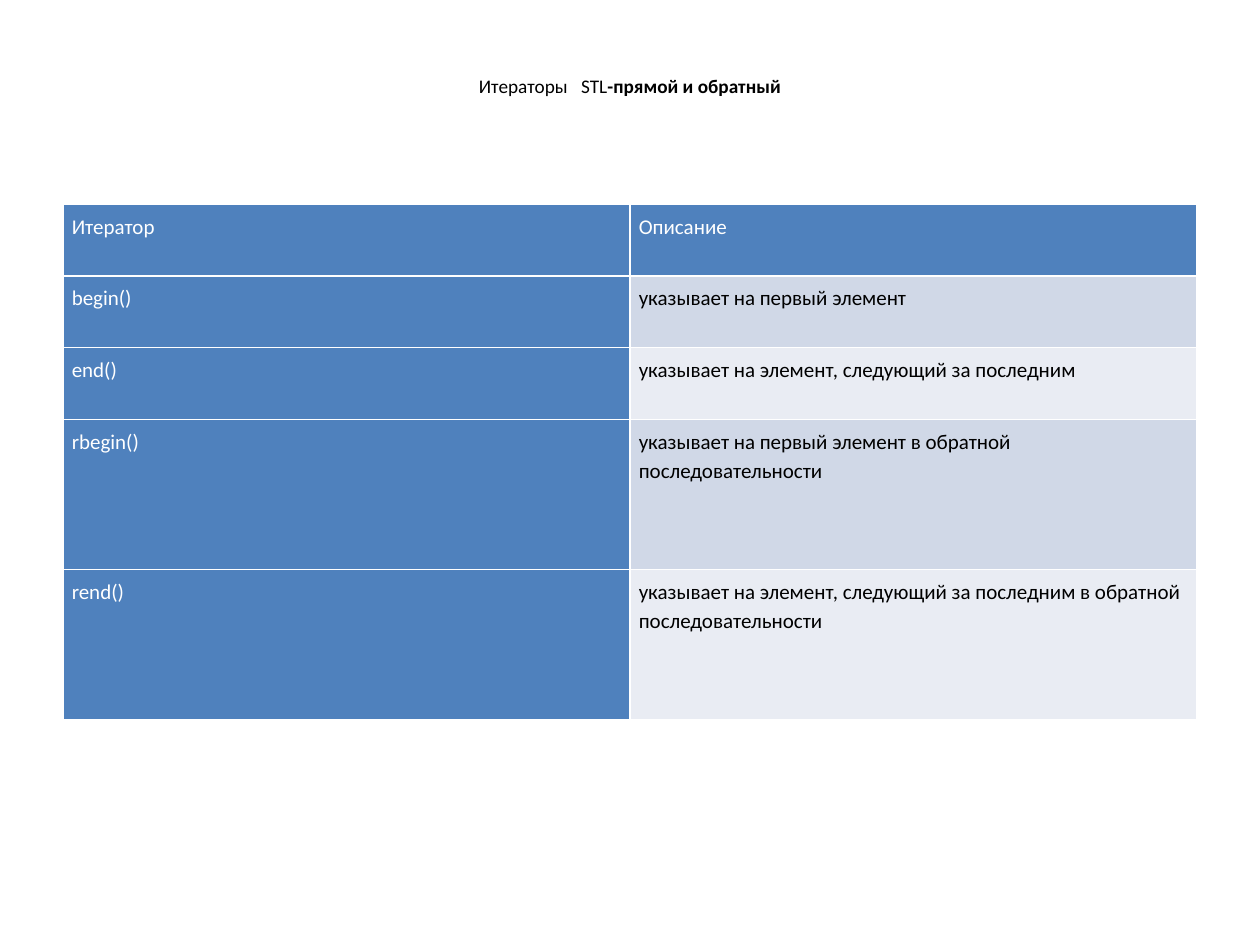
"""Build a slide with a table of forward and reverse STL iterators."""
from lxml import etree
from pptx import Presentation
from pptx.dml.color import RGBColor
from pptx.enum.text import MSO_ANCHOR, PP_ALIGN
from pptx.oxml.ns import qn
from pptx.util import Inches, Pt

COLORS = {
    "header": "4F81BD",
    "odd": "D0D8E7",
    "even": "E9ECF3",
    "light": "FFFFFF",
    "dark": "000000",
}
FONT = "Calibri"
TITLE_RUNS = [
    ("Итераторы", False, 0),
    (" ", False, 5),
    ("STL", False, 0),
    ("-прямой и обратный", True, 0),
]
ROWS = [
    ("Итератор", "Описание", 0.57),
    ("begin()", "указывает на первый элемент", 0.57),
    ("end()", "указывает на элемент, следующий за последним", 0.57),
    ("rbegin()", "указывает на первый элемент в обратной последовательности", 1.19),
    ("rend()", "указывает на элемент, следующий за последним в обратной последовательности", 1.19),
]
LEFT, WIDTH = 0.5, 9
TITLE_TOP, TITLE_HEIGHT = 0.3, 0.77
TABLE_TOP = 1.62
BORDER_WIDTH = 0.96


def format_run(run, size, color, bold=False):
    run.font.name = FONT
    run.font.size = Pt(size)
    run.font.bold = bold
    run.font.color.rgb = RGBColor.from_string(COLORS[color])


def add_title(slide):
    title = slide.shapes.add_textbox(
        Inches(LEFT), Inches(TITLE_TOP), Inches(WIDTH), Inches(TITLE_HEIGHT)
    )
    title.text_frame.word_wrap = True
    title.text_frame.vertical_anchor = MSO_ANCHOR.MIDDLE
    paragraph = title.text_frame.paragraphs[0]
    paragraph.alignment = PP_ALIGN.CENTER
    for text, bold, spacing in TITLE_RUNS:
        run = paragraph.add_run()
        run.text = text
        format_run(run, 11, "dark", bold)
        if spacing:
            run.font._element.set("spc", str(spacing * 100))


def set_borders(cell):
    properties = cell._tc.get_or_add_tcPr()
    for position, side in enumerate(("a:lnL", "a:lnR", "a:lnT", "a:lnB")):
        line = etree.Element(qn(side), w=str(Pt(BORDER_WIDTH)))
        fill = etree.SubElement(line, qn("a:solidFill"))
        etree.SubElement(fill, qn("a:srgbClr"), val=COLORS["light"])
        properties.insert(position, line)


def fill_cell(cell, text, fill, color):
    cell.fill.solid()
    cell.fill.fore_color.rgb = RGBColor.from_string(COLORS[fill])
    cell.margin_left = cell.margin_right = Inches(0.07)
    cell.margin_top = cell.margin_bottom = Inches(0.05)
    cell.text_frame.text = text
    paragraph = cell.text_frame.paragraphs[0]
    paragraph.line_spacing = 1.15
    paragraph.space_before = Pt(3.7)
    format_run(paragraph.runs[0], 12, color)
    set_borders(cell)


def add_iterator_table(slide):
    total_height = sum(height for _, _, height in ROWS)
    table = slide.shapes.add_table(
        len(ROWS), 2, Inches(LEFT), Inches(TABLE_TOP), Inches(WIDTH), Inches(total_height)
    ).table
    for column in table.columns:
        column.width = Inches(WIDTH / 2)
    for index, (iterator, description, height) in enumerate(ROWS):
        table.rows[index].height = Inches(height)
        fill_cell(table.cell(index, 0), iterator, "header", "light")
        if index == 0:
            fill, color = "header", "light"
        else:
            fill, color = ("odd" if index % 2 else "even"), "dark"
        fill_cell(table.cell(index, 1), description, fill, color)


def main():
    presentation = Presentation()
    presentation.slide_width = Inches(10)
    presentation.slide_height = Inches(7.5)
    slide = presentation.slides.add_slide(presentation.slide_layouts[6])
    add_title(slide)
    add_iterator_table(slide)
    presentation.save("out.pptx")


if __name__ == "__main__":
    main()
